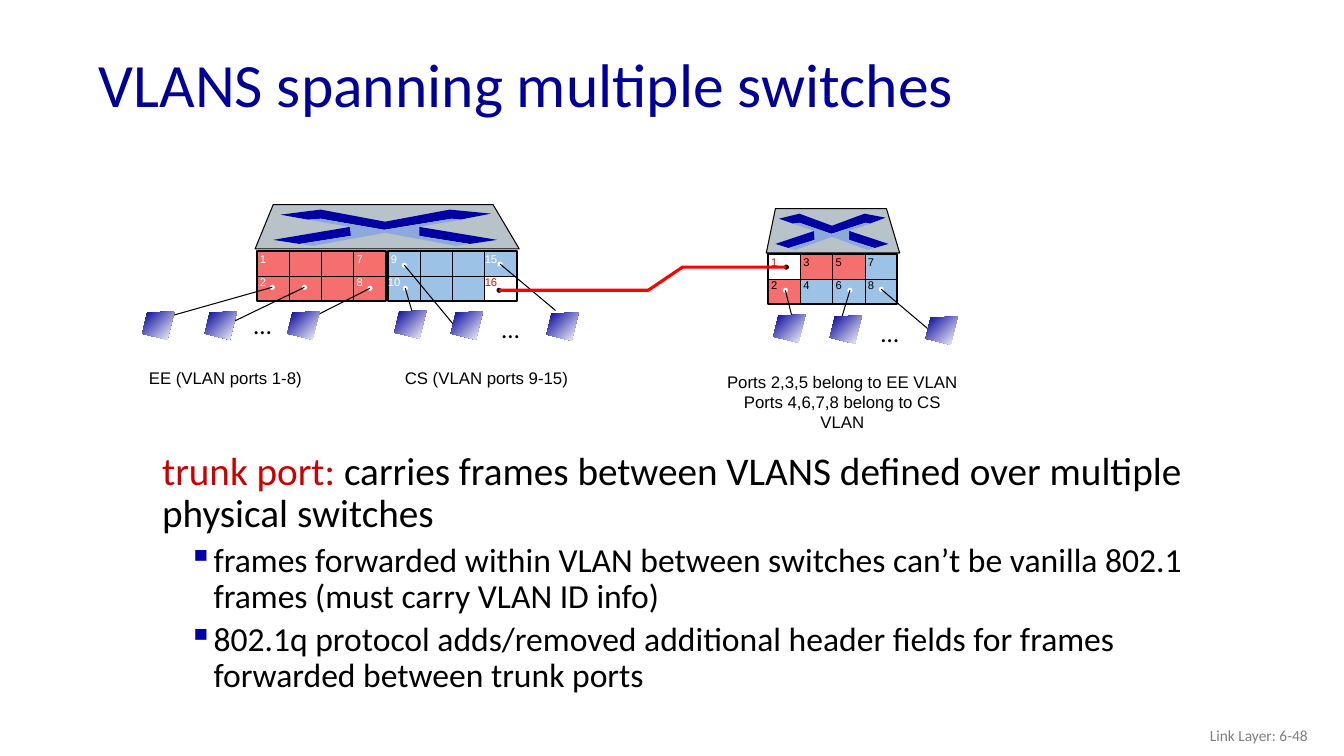
from lxml import etree
from pptx import Presentation
from pptx.dml.color import RGBColor
from pptx.enum.shapes import MSO_CONNECTOR, MSO_SHAPE
from pptx.enum.text import MSO_ANCHOR, PP_ALIGN
from pptx.oxml.ns import qn
from pptx.util import Inches, Pt

RECTANGLE, OVAL = MSO_SHAPE.RECTANGLE, MSO_SHAPE.OVAL
STRAIGHT = MSO_CONNECTOR.STRAIGHT
LEFT, CENTER, RIGHT = PP_ALIGN.LEFT, PP_ALIGN.CENTER, PP_ALIGN.RIGHT
TOP, MIDDLE = MSO_ANCHOR.TOP, MSO_ANCHOR.MIDDLE

BLACK, WHITE, RED = "000000", "FFFFFF", "FF0000"
EE, CS, NAVY = "F56F6F", "9CC2E5", "000099"

# Content: text
TITLE = "VLANS spanning multiple switches"
FOOTER = "Link Layer: 6-48"
TERM = "trunk port: "
DEFINITION = "carries frames between VLANS defined over multiple physical switches"
BULLETS = [
    "frames forwarded within VLAN between switches can’t be vanilla 802.1 frames (must carry VLAN ID info)",
    "802.1q protocol adds/removed additional header fields for frames forwarded between trunk ports",
]
CAPTIONS = [  # left, top, width, height, lines
    (1.29, 3.6, 1.89, 0.3, ["EE (VLAN ports 1-8)"]),
    (3.42, 3.6, 2.81, 0.3, ["CS (VLAN ports 9-15)"]),
    (7.04, 3.64, 2.63, 0.5,
     ["Ports 2,3,5 belong to EE VLAN", "Ports 4,6,7,8 belong to CS VLAN"]),
]
ELLIPSES = [(4.88, 3.06), (2.42, 3.02), (8.64, 3.1)]

# Content: port banks; blocks are (column, row, columns, rows, colour)
CELL_WIDTH, CELL_HEIGHT = 0.32, 0.25
BANKS = [
    {"left": 2.55, "top": 2.49, "first": 1, "ports": [1, 2, 7, 8],
     "color": WHITE, "trunk": None, "blocks": [(0, 0, 4, 2, EE)]},
    {"left": 3.85, "top": 2.49, "first": 9, "ports": [9, 10, 15, 16],
     "color": WHITE, "trunk": 16,
     "blocks": [(0, 0, 3, 2, CS), (3, 0, 1, 1, CS)]},
    {"left": 7.62, "top": 2.52, "first": 1, "ports": range(1, 9),
     "color": BLACK, "trunk": 1,
     "blocks": [(0, 1, 1, 1, EE), (1, 0, 2, 1, EE),
                (3, 0, 1, 1, CS), (1, 1, 3, 1, CS)]},
]

# Content: hosts as port centre, wire end, computer corner
HOSTS = [
    ((2.7, 2.85), (1.71, 3.13), (1.41, 3.09)),
    ((3.02, 2.85), (2.13, 3.28), (2.03, 3.09)),
    ((3.67, 2.86), (2.92, 3.24), (2.85, 3.09)),
    ((4.02, 2.86), (4.13, 3.24), (3.91, 3.08)),
    ((4.01, 2.63), (4.54, 3.27), (4.47, 3.09)),
    ((4.96, 2.62), (5.51, 3.08), (5.42, 3.1)),
    ((7.79, 2.88), (7.89, 3.28), (7.67, 3.12)),
    ((8.43, 2.88), (8.3, 3.31), (8.23, 3.13)),
    ((8.74, 2.87), (9.26, 3.31), (9.18, 3.14)),
]
COMPUTER = [(0.32, 0), (0.05, 0.01), (0, 0.22), (0.25, 0.28)]
TRUNK = [(4.95, 2.88), (6.43, 2.88), (6.77, 2.65), (7.8, 2.65)]

# Content: switch lids as left, top, horizontal scale; outlines from the lid corner
LIDS = [(2.53, 2.03, 1), (7.6, 2.07, 0.505)]
LID_PARTS = [
    ("B8C2C9", BLACK, [(0, 0.44), (0.18, 0), (2.36, 0), (2.62, 0.44)]),
    ("0000A3", None, [(1.93, 0.05), (2.34, 0.09), (2.03, 0.15), (1.95, 0.14), (1.28, 0.25),
                      (0.65, 0.14), (0.53, 0.15), (0.25, 0.1), (0.65, 0.05), (1.29, 0.17)]),
    ("0000A3", None, [(1.62, 0.22), (2.4, 0.35), (2.13, 0.39), (1.61, 0.31)]),
    ("0000A8", None, [(0.95, 0.22), (0.95, 0.31), (0.44, 0.39), (0.18, 0.35)]),
    ("8DA9DB", None, [(0.52, 0.15), (0.65, 0.14), (1.28, 0.25), (1.95, 0.14), (2.05, 0.15),
                      (1.63, 0.22), (1.63, 0.31), (2.12, 0.39), (1.99, 0.41), (1.29, 0.28),
                      (0.57, 0.41), (0.45, 0.39), (0.95, 0.31), (0.94, 0.22)]),
]


def rgb(color):
    return RGBColor.from_string(color)


def style(shape, fill=None, line=None, weight=0.75):
    shape.shadow.inherit = False
    if fill:
        shape.fill.solid()
        shape.fill.fore_color.rgb = rgb(fill)
    else:
        shape.fill.background()
    if line:
        shape.line.color.rgb = rgb(line)
        shape.line.width = Pt(weight)
    else:
        shape.line.fill.background()


def add_preset(page, kind, left, top, width, height, **look):
    shape = page.shapes.add_shape(kind, Inches(left), Inches(top), Inches(width), Inches(height))
    style(shape, **look)


def add_outline(page, points, close=True, **look):
    corners = [(Inches(x), Inches(y)) for x, y in points]
    builder = page.shapes.build_freeform(*corners[0], scale=1.0)
    builder.add_line_segments(corners[1:], close=close)
    shape = builder.convert_to_shape()
    style(shape, **look)
    return shape


def add_line(page, start, end):
    line = page.shapes.add_connector(STRAIGHT, *[Inches(value) for value in (*start, *end)])
    line.line.color.rgb = rgb(BLACK)
    line.line.width = Pt(0.75)
    etree.SubElement(line._element.spPr, qn("a:effectLst"))


def add_dot(page, center, color):
    add_preset(page, OVAL, center[0] - 0.025, center[1] - 0.025, 0.05, 0.05, fill=color)


def set_font(para, size, name, color=None):
    para.font.size, para.font.name = Pt(size), name
    if color:
        para.font.color.rgb = rgb(color)


def add_text(page, left, top, width, height, lines, size, name, color,
             align=LEFT, anchor=TOP, wrap=True):
    box = page.shapes.add_textbox(Inches(left), Inches(top), Inches(width), Inches(height))
    frame = box.text_frame
    frame.word_wrap, frame.vertical_anchor = wrap, anchor
    for index, line in enumerate(lines):
        para = frame.add_paragraph() if index else frame.paragraphs[0]
        para.text, para.alignment = line, align
        set_font(para, size, name, color)
    return frame


def add_bank(page, bank):
    left, top = bank["left"], bank["top"]
    right, middle = left + 4 * CELL_WIDTH, top + CELL_HEIGHT
    bottom = top + 2 * CELL_HEIGHT
    for column, row, columns, rows, color in bank["blocks"]:
        add_preset(page, RECTANGLE, left + column * CELL_WIDTH, top + row * CELL_HEIGHT,
                   columns * CELL_WIDTH, rows * CELL_HEIGHT, fill=color)
    add_preset(page, RECTANGLE, left, top, right - left, bottom - top, line=BLACK, weight=1.5)
    add_line(page, (left, middle), (right, middle))
    for column in range(1, 4):
        x = left + column * CELL_WIDTH
        add_line(page, (x, top), (x, bottom))
    for port in bank["ports"]:
        column, row = divmod(port - bank["first"], 2)
        x = left - (0.07 if port < 10 else 0.1) + column * CELL_WIDTH
        add_text(page, x, top - 0.04 + row * 0.23, 0.26 if port < 10 else 0.33, 0.23,
                 [str(port)], 8, "Arial", RED if port == bank["trunk"] else bank["color"],
                 wrap=False)


def add_bullet(para):
    properties = para._p.get_or_add_pPr()
    properties.set("marL", str(Inches(0.51)))
    properties.set("indent", str(Inches(-0.25)))
    color = etree.SubElement(properties, qn("a:buClr"))
    etree.SubElement(color, qn("a:srgbClr"), val="0000A8")
    etree.SubElement(properties, qn("a:buChar"), char="▪")


def add_body(page):
    frame = add_text(page, 1.51, 4.43, 10.92, 2.94, [TERM], 28, "Calibri", None)
    first = frame.paragraphs[0]
    first.line_spacing = 0.9
    first.runs[0].font.color.rgb = rgb("CC0000")
    span = first.add_run()
    span.text = DEFINITION
    span.font.color.rgb = rgb(BLACK)
    for bullet in BULLETS:
        para = frame.add_paragraph()
        para.text, para.level = bullet, 1
        para.line_spacing, para.space_before = 0.9, Pt(5)
        add_bullet(para)
        set_font(para, 24, "Calibri", BLACK)


def main():
    deck = Presentation()
    deck.slide_width, deck.slide_height = Inches(13.33), Inches(7.5)
    page = deck.slides.add_slide(deck.slide_layouts[6])

    # Title and footer
    title = add_text(page, 0.88, 0.38, 11.5, 0.98, [TITLE], 44, "Calibri", NAVY, anchor=MIDDLE)
    title.paragraphs[0].line_spacing = 0.9
    add_text(page, 10.07, 7.1, 3, 0.4, [FOOTER], 11, "Calibri", "7F7F7F", RIGHT, MIDDLE)

    # Switches
    for bank in BANKS:
        add_bank(page, bank)
    for left, top, scale in LIDS:
        for fill, line, points in LID_PARTS:
            add_outline(page, [(left + x * scale, top + y) for x, y in points],
                        fill=fill, line=line)

    # Hosts and their wires
    for port, wire_end, (left, top) in HOSTS:
        add_dot(page, port, WHITE)
        add_line(page, port, wire_end)
        computer = add_outline(page, [(left + x, top + y) for x, y in COMPUTER])
        computer.fill.gradient()
        computer.fill.gradient_angle = 315
        for stop, color, position in zip(computer.fill.gradient_stops, (NAVY, WHITE), (0, 1)):
            stop.color.rgb, stop.position = rgb(color), position

    # Trunk link
    for end in (TRUNK[0], TRUNK[-1]):
        add_dot(page, end, BLACK)
    add_outline(page, TRUNK, close=False, line=RED, weight=2.25)

    # Captions and body
    for left, top in ELLIPSES:
        add_text(page, left, top, 0.38, 0.4, ["…"], 18, "Calibri", BLACK, wrap=False)
    for left, top, width, height, lines in CAPTIONS:
        add_text(page, left, top, width, height, lines, 12, "Arial", BLACK, CENTER)
    add_body(page)
    deck.save("out.pptx")


if __name__ == "__main__":
    main()
